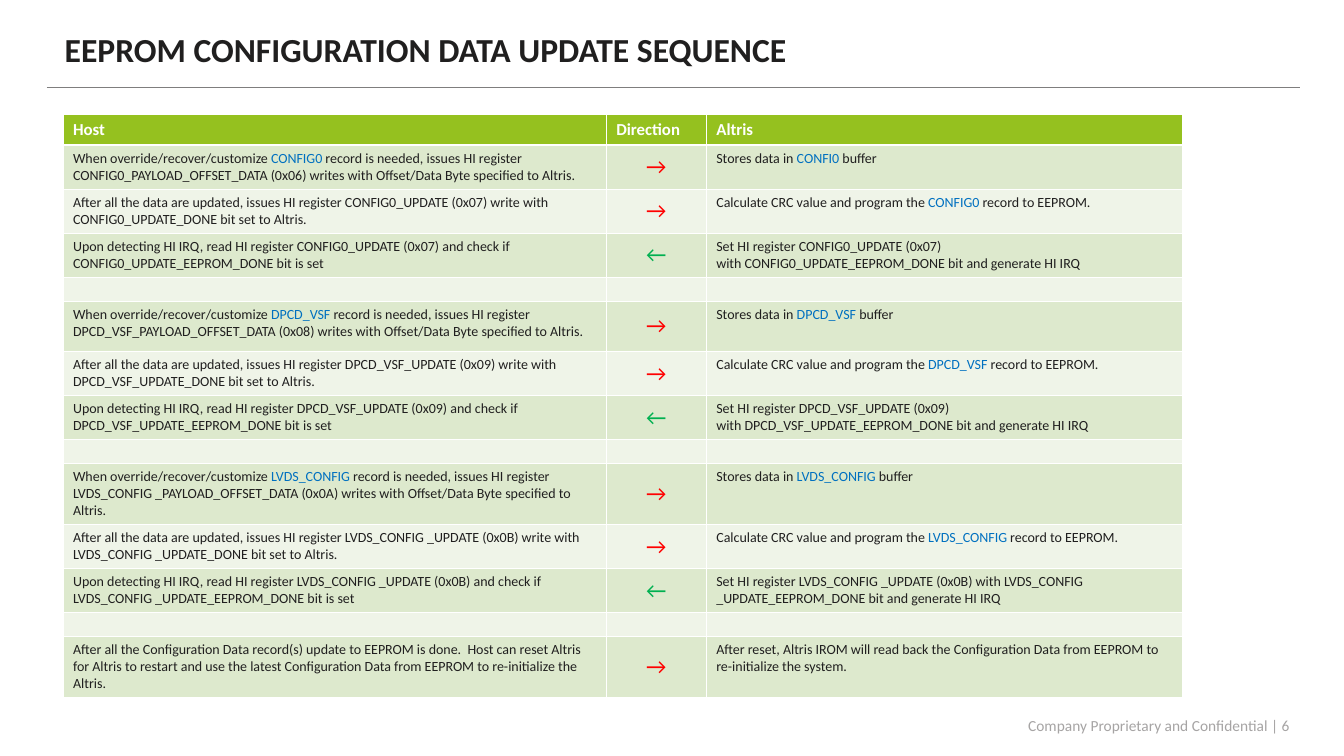
from lxml import etree
from pptx import Presentation
from pptx.dml.color import RGBColor
from pptx.enum.shapes import MSO_CONNECTOR
from pptx.enum.text import MSO_ANCHOR, MSO_AUTO_SIZE, PP_ALIGN
from pptx.oxml.ns import qn
from pptx.util import Pt

LEFT, CENTER, RIGHT = PP_ALIGN.LEFT, PP_ALIGN.CENTER, PP_ALIGN.RIGHT
TOP, MIDDLE = MSO_ANCHOR.TOP, MSO_ANCHOR.MIDDLE

INK = RGBColor(0x20, 0x1F, 0x1F)
BLUE = RGBColor(0x00, 0x70, 0xC0)
RED = RGBColor(0xFF, 0x00, 0x00)
GREEN = RGBColor(0x00, 0xB0, 0x50)
WHITE = RGBColor(0xFF, 0xFF, 0xFF)
LIME = RGBColor(0x95, 0xC1, 0x1F)
DARK = RGBColor(0xDD, 0xE9, 0xCD)
PALE = RGBColor(0xEF, 0xF4, 0xE8)
RULE = RGBColor(0x7F, 0x7E, 0x7E)
GRAY = RGBColor(0xA6, 0xA4, 0xA4)
SEND, REPLY = "→", "←"


def add_run(par, text, size, color, bold=False):
    run = par.add_run()
    run.text = text
    run.font.name = "Calibri"
    run.font.size = Pt(size)
    run.font.bold = bold
    run.font.color.rgb = color


def fill_cell(cell, text, size, color, bold=False):
    """Write text into a cell: newlines part paragraphs, *stars* mark blue words."""
    frame = cell.text_frame
    for i, line in enumerate(text.split("\n")):
        par = frame.add_paragraph() if i else frame.paragraphs[0]
        for j, part in enumerate(line.split("*")):
            if part:
                add_run(par, part, size, BLUE if j % 2 else color, bold)


deck = Presentation()
deck.slide_width, deck.slide_height = Pt(960), Pt(540)
slide = deck.slides.add_slide(deck.slide_layouts[5])
shapes = slide.shapes

# Title
title = shapes.title
title.left, title.top, title.width, title.height = Pt(39), Pt(17), Pt(797), Pt(39)
frame = title.text_frame
frame.auto_size = MSO_AUTO_SIZE.NONE
frame.vertical_anchor = MIDDLE
par = frame.paragraphs[0]
par.alignment = LEFT
par.line_spacing = 0.9
add_run(par, "EEPROM CONFIGURATION DATA UPDATE SEQUENCE", 24, INK, True)

# Rule below the title
rule = shapes.add_connector(MSO_CONNECTOR.STRAIGHT, Pt(33.5), Pt(62.5), Pt(928.5), Pt(62.5))
rule.line.color.rgb = RULE
rule.line.width = Pt(1)
etree.SubElement(rule._element.spPr, qn("a:effectLst"))

# Footer
foot = shapes.add_textbox(Pt(601), Pt(508.5), Pt(327.5), Pt(18.5))
foot.text_frame.word_wrap = True
foot.text_frame.vertical_anchor = MIDDLE
par = foot.text_frame.paragraphs[0]
par.alignment = RIGHT
add_run(par, "Company Proprietary and Confidential | 6", 11, GRAY)

# Rows: height, host, direction, chip
records = [
    # name, buffer, stem, data code, update code, break, first height
    ("CONFIG0", "CONFI0", "CONFIG0", "0x06", "0x07", "\n", 31.5),
    ("DPCD_VSF", "DPCD_VSF", "DPCD_VSF", "0x08", "0x09", "\n", 36),
    ("LVDS_CONFIG", "LVDS_CONFIG", "LVDS_CONFIG ", "0x0A", "0x0B", " ", 43.5),
]
rows = []
for name, buffer, stem, data, update, gap, height in records:
    rows += [
        (height,
         f"When override/recover/customize *{name}* record is needed, issues HI register "
         f"{stem}_PAYLOAD_OFFSET_DATA ({data}) writes with Offset/Data Byte specified to Altris.",
         SEND, f"Stores data in *{buffer}* buffer"),
        (31.5,
         f"After all the data are updated, issues HI register {stem}_UPDATE ({update}) "
         f"write with {stem}_UPDATE_DONE bit set to Altris.",
         SEND, f"Calculate CRC value and program the *{name}* record to EEPROM."),
        (31.5,
         f"Upon detecting HI IRQ, read HI register {stem}_UPDATE ({update}) and check if "
         f"{stem}_UPDATE_EEPROM_DONE bit is set",
         REPLY, f"Set HI register {stem}_UPDATE ({update}){gap}"
         f"with {stem}_UPDATE_EEPROM_DONE bit and generate HI IRQ"),
        (17, "", "", ""),
    ]
rows.append((
    43.5,
    "After all the Configuration Data record(s) update to EEPROM is done.  Host can reset "
    "Altris for Altris to restart and use the latest Configuration Data from EEPROM to "
    "re-initialize the Altris.",
    SEND,
    "After reset, Altris IROM will read back the Configuration Data from EEPROM to "
    "re-initialize the system."))

# Table
widths = [388, 71.5, 340.5]
total = 21.5 + sum(row[0] for row in rows)
table = shapes.add_table(len(rows) + 1, 3, Pt(45), Pt(82), Pt(sum(widths)), Pt(total)).table
for column, width in zip(table.columns, widths):
    column.width = Pt(width)

table.rows[0].height = Pt(21.5)
for c, head in enumerate(["Host", "Direction", "Altris"]):
    cell = table.cell(0, c)
    cell.fill.solid()
    cell.fill.fore_color.rgb = LIME
    fill_cell(cell, head, 12, WHITE, True)

for r, (height, *texts) in enumerate(rows, 1):
    table.rows[r].height = Pt(height)
    for c, text in enumerate(texts):
        cell = table.cell(r, c)
        cell.fill.solid()
        cell.fill.fore_color.rgb = DARK if r % 2 else PALE
        par = cell.text_frame.paragraphs[0]
        if not text:
            etree.SubElement(par._p, qn("a:endParaRPr"), sz="800")
        elif c == 1:
            cell.vertical_anchor = MIDDLE
            par.alignment = CENTER
            fill_cell(cell, text, 16, RED if text == SEND else GREEN)
        else:
            cell.vertical_anchor = TOP
            fill_cell(cell, text, 10, INK)

deck.save("out.pptx")
